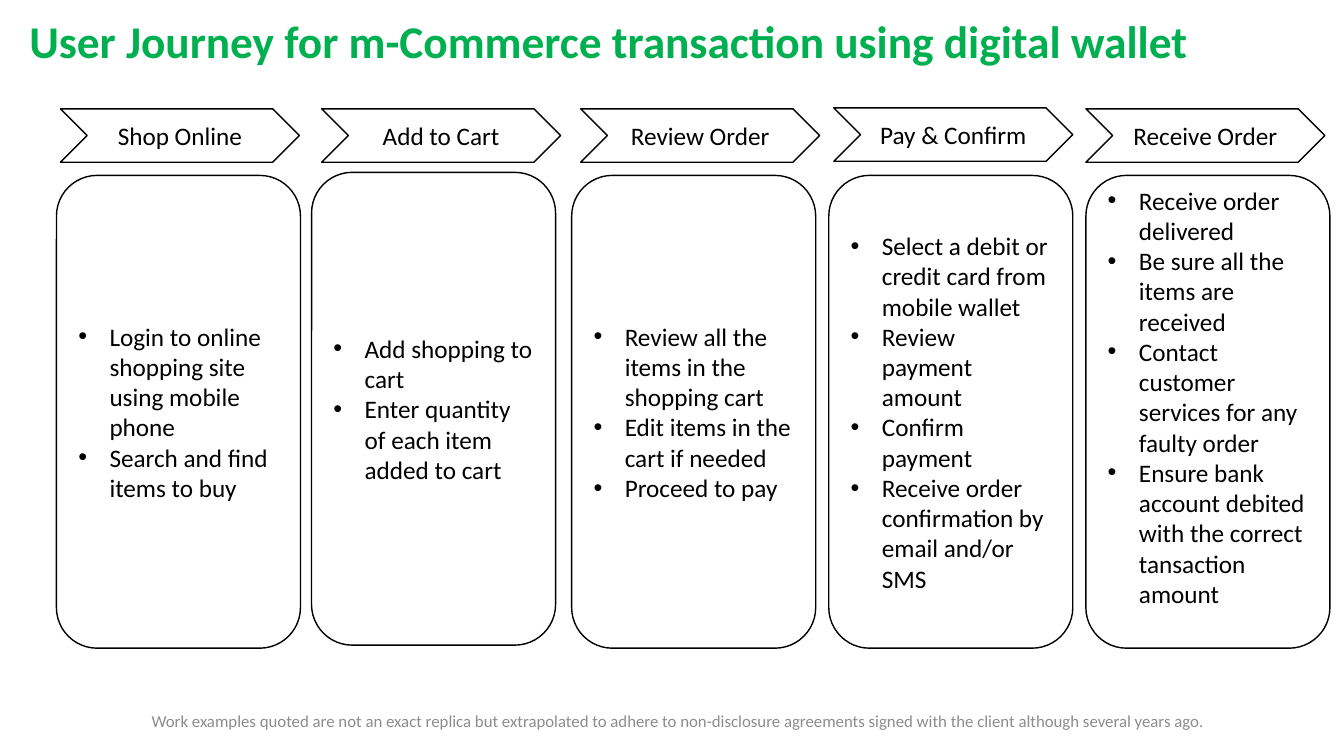
from dataclasses import dataclass

from lxml.etree import SubElement
from pptx import Presentation
from pptx.dml.color import RGBColor
from pptx.enum.shapes import MSO_SHAPE
from pptx.enum.text import MSO_ANCHOR, PP_ALIGN
from pptx.oxml.ns import qn
from pptx.shapes.autoshape import Shape
from pptx.slide import Slide
from pptx.text.text import TextFrame, _Paragraph
from pptx.util import Inches, Pt

FONT = "Calibri"
BLACK, WHITE, GREEN, GREY = "000000", "FFFFFF", "00B050", "8C8C8C"
BULLET_INDENT = 0.31
CHEVRON_SIZE = (2.37, 0.53)
CARD_SIZE = (2.42, 4.69)


@dataclass
class Step:
    name: str
    chevron_left: float
    card_left: float
    actions: list[str]
    chevron_top: float = 1.08
    card_top: float = 1.74
    bottom_inset: float = 0.05


STEPS = [
    Step("Shop Online", 0.6, 0.56, [
        "Login to online shopping site using mobile phone",
        "Search and find items to buy",
    ]),
    Step("Add to Cart", 3.19, 3.09, [
        "Add shopping to cart",
        "Enter quantity of each item added to cart",
    ], card_top=1.71),
    Step("Review Order", 5.76, 5.67, [
        "Review all the items in the shopping cart",
        "Edit items in the cart if needed",
        "Proceed to pay",
    ]),
    Step("Pay & Confirm", 8.27, 8.22, [
        "Select a debit or credit card from mobile wallet",
        "Review payment amount",
        "Confirm payment",
        "Receive order confirmation by email and/or SMS",
    ], chevron_top=1.07),
    Step("Receive Order", 10.77, 10.77, [
        "Receive order delivered",
        "Be sure all the items are received",
        "Contact customer services for any faulty order",
        "Ensure bank account debited with the correct tansaction amount",
    ], bottom_inset=0.35),
]


def color(hex_value: str) -> RGBColor:
    return RGBColor.from_string(hex_value)


def format_text(text_frame: TextFrame, size: float, hex_value: str,
                alignment: PP_ALIGN, bold: bool = False) -> None:
    text_frame.word_wrap = True
    text_frame.vertical_anchor = MSO_ANCHOR.MIDDLE
    for paragraph in text_frame.paragraphs:
        paragraph.alignment = alignment
        for run in paragraph.runs:
            run.font.name = FONT
            run.font.size = Pt(size)
            run.font.bold = bold
            run.font.color.rgb = color(hex_value)


def add_bullet(paragraph: _Paragraph) -> None:
    properties = paragraph._p.get_or_add_pPr()
    properties.set("marL", str(Inches(BULLET_INDENT)))
    properties.set("indent", str(-Inches(BULLET_INDENT)))
    SubElement(properties, qn("a:buFont"), typeface="Arial")
    SubElement(properties, qn("a:buChar"), char="•")


def add_outlined_shape(slide: Slide, kind: MSO_SHAPE, left: float, top: float,
                       size: tuple[float, float]) -> Shape:
    width, height = size
    shape = slide.shapes.add_shape(
        kind, Inches(left), Inches(top), Inches(width), Inches(height))
    shape.shadow.inherit = False
    shape.fill.solid()
    shape.fill.fore_color.rgb = color(WHITE)
    shape.line.color.rgb = color(BLACK)
    shape.line.width = Pt(1)
    return shape


def add_chevron(slide: Slide, step: Step) -> None:
    chevron = add_outlined_shape(
        slide, MSO_SHAPE.CHEVRON, step.chevron_left, step.chevron_top, CHEVRON_SIZE)
    chevron.text_frame.text = step.name
    format_text(chevron.text_frame, 18, BLACK, PP_ALIGN.CENTER)


def add_card(slide: Slide, step: Step) -> None:
    card = add_outlined_shape(
        slide, MSO_SHAPE.ROUNDED_RECTANGLE, step.card_left, step.card_top, CARD_SIZE)
    text_frame = card.text_frame
    text_frame.text = "\n".join(step.actions)
    text_frame.margin_bottom = Inches(step.bottom_inset)
    format_text(text_frame, 18, BLACK, PP_ALIGN.LEFT)
    for paragraph in text_frame.paragraphs:
        add_bullet(paragraph)


def add_title(slide: Slide) -> None:
    title = slide.shapes.title
    title.left, title.top = Inches(0.19), Inches(0.11)
    title.width, title.height = Inches(13.07), Inches(0.65)
    title.text_frame.text = "User Journey for m-Commerce transaction using digital wallet"
    format_text(title.text_frame, 32.4, GREEN, PP_ALIGN.LEFT, bold=True)
    title.text_frame.paragraphs[0].line_spacing = 0.9


def add_disclaimer(slide: Slide) -> None:
    text_box = slide.shapes.add_textbox(
        Inches(0.21), Inches(6.95), Inches(13.04), Inches(0.4))
    text_box.text_frame.text = (
        "Work examples quoted are not an exact replica but extrapolated to adhere to "
        "non-disclosure agreements signed with the client although several years ago.")
    format_text(text_box.text_frame, 12, GREY, PP_ALIGN.CENTER)


def main() -> None:
    presentation = Presentation()
    presentation.slide_width = Inches(13.33)
    presentation.slide_height = Inches(7.5)
    slide = presentation.slides.add_slide(presentation.slide_layouts[5])
    add_title(slide)
    for step in STEPS:
        add_chevron(slide, step)
        add_card(slide, step)
    add_disclaimer(slide)
    presentation.save("out.pptx")


if __name__ == "__main__":
    main()
